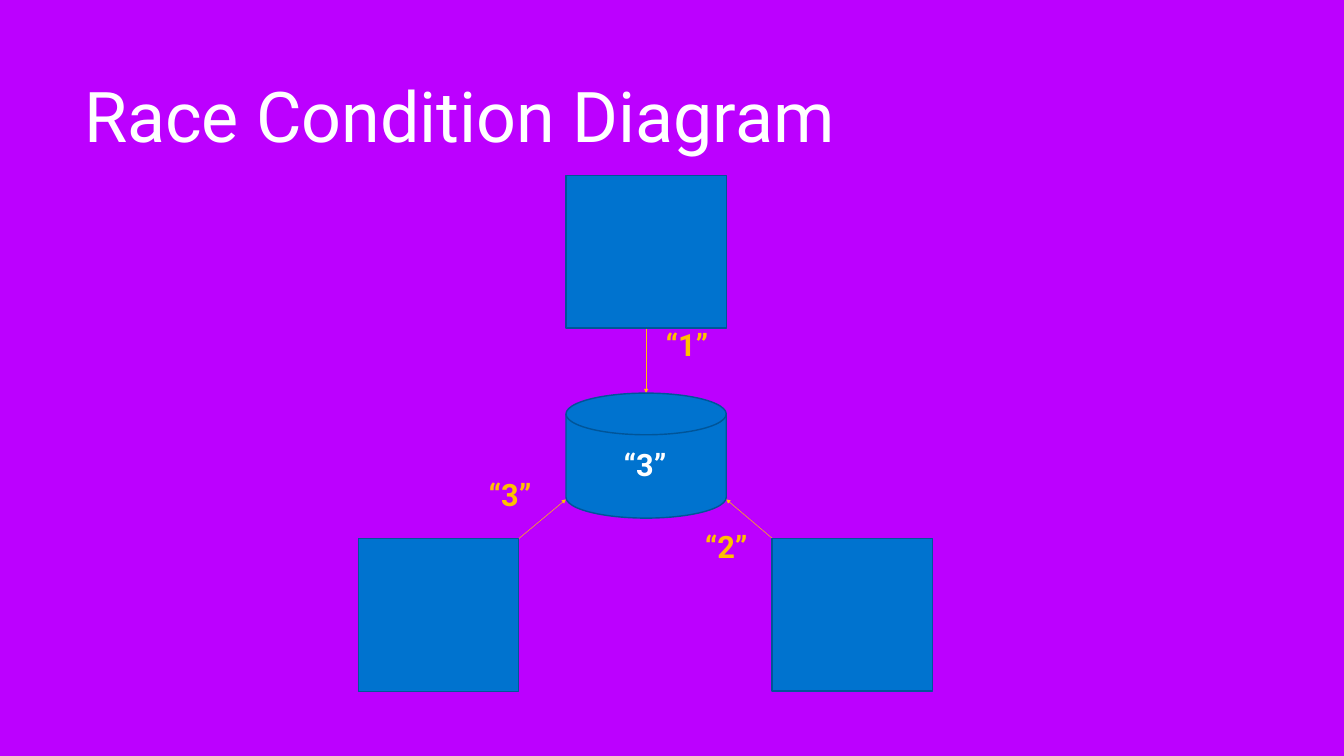
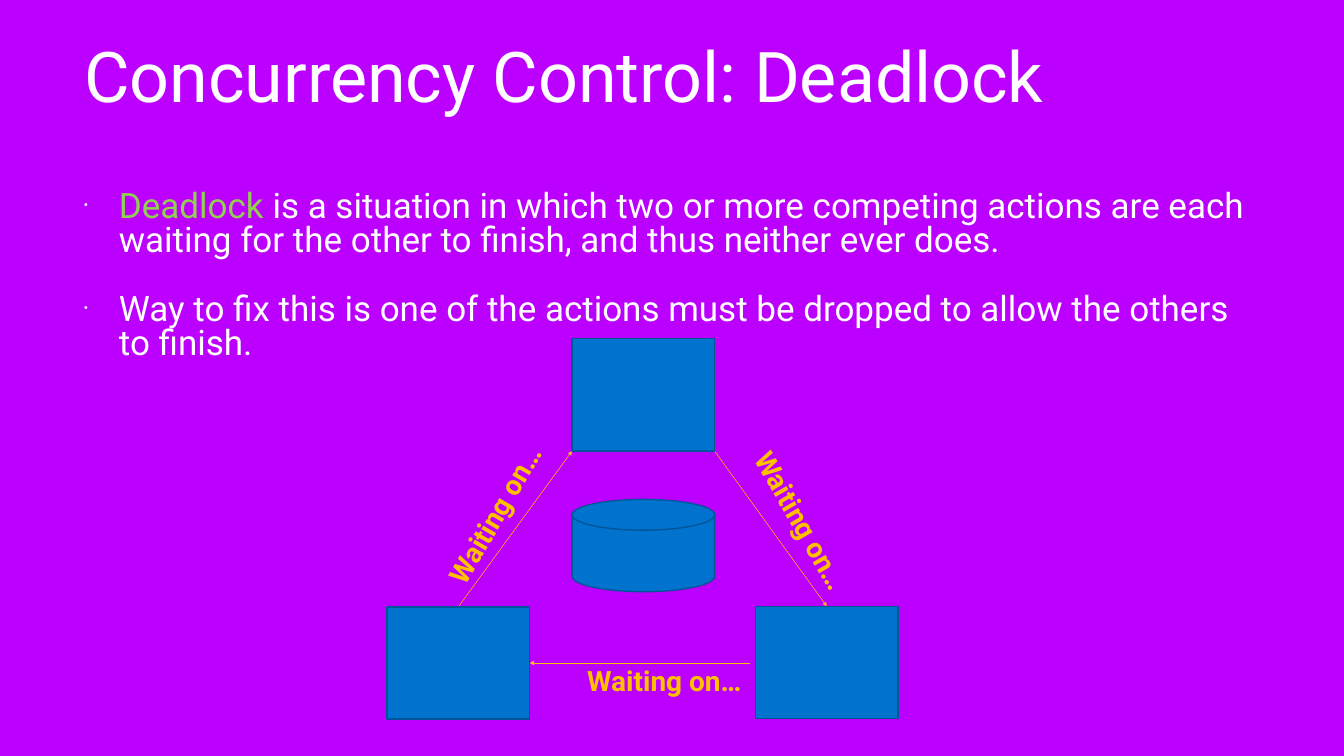
from dataclasses import dataclass

from lxml.etree import SubElement
from pptx import Presentation
from pptx.dml.color import RGBColor as Rgb
from pptx.enum.shapes import MSO_CONNECTOR as Link, MSO_SHAPE as Form
from pptx.enum.text import MSO_ANCHOR as Anchor, PP_ALIGN as Align
from pptx.oxml.ns import qn
from pptx.slide import Slide
from pptx.util import Inches, Pt

COLS, ROWS = 80, 45
WIDE, HIGH = Inches(26.67), Inches(15)


@dataclass(frozen=True)
class Theme:
    """Colours, font and type sizes of the deck."""
    back: str = "BC00FF"
    white: str = "FFFFFF"
    gold: str = "FFC000"
    green: str = "92D050"
    fill: str = "0073CF"
    edge: str = "005599"
    font: str = "Roboto"
    title: float = 100
    body: float = 50
    value: float = 44
    wait: float = 40
    gap: float = 51
    edge_pt: float = 2
    arrow_pt: float = 0.75


@dataclass(frozen=True)
class Box:
    """A frame in grid columns and rows."""
    x: float
    y: float
    w: float
    h: float

    def at(self, across: float, down: float) -> "Spot":
        """Return the point at these shares of the frame."""
        return Spot(self.x + self.w * across, self.y + self.h * down)

    def frame(self) -> tuple[int, int, int, int]:
        """Return left, top, width and height in slide units."""
        return col(self.x), row(self.y), col(self.w), row(self.h)


@dataclass(frozen=True)
class Spot:
    """A point in grid columns and rows."""
    x: float
    y: float


@dataclass(frozen=True)
class Arrow:
    """An arrow between two points."""
    start: Spot
    end: Spot


@dataclass(frozen=True)
class Label:
    """A short bold caption."""
    text: str
    box: Box
    size: float
    color: str
    turn: float = 0


THEME = Theme()
Run = tuple[str, str]


def col(count: float) -> int:
    """Turn columns into slide units."""
    return round(WIDE * count / COLS)


def row(count: float) -> int:
    """Turn rows into slide units."""
    return round(HIGH * count / ROWS)


def write(slide: Slide, paras: list[list[Run]], box: Box, *, size: float,
          bold: bool = False, align: Align = Align.LEFT,
          anchor: Anchor = Anchor.TOP, inset: float | None = None,
          turn: float = 0, dots: bool = False) -> None:
    """Write paragraphs of coloured runs in a text box."""
    shape = slide.shapes.add_textbox(*box.frame())
    shape.rotation = turn
    frame = shape.text_frame
    frame.word_wrap = True
    frame.vertical_anchor = anchor
    if inset is not None:
        frame.margin_left = frame.margin_right = Inches(inset)
        frame.margin_top = frame.margin_bottom = Inches(inset)
    for index, runs in enumerate(paras):
        para = frame.add_paragraph() if index else frame.paragraphs[0]
        para.alignment = align
        if dots:
            para.line_spacing = 0.8
            para.space_before = Pt(THEME.gap if index else 0)
            bullet(para)
        for text, color in runs:
            run = para.add_run()
            run.text = text
            run.font.name = THEME.font
            run.font.size = Pt(size)
            run.font.bold = bold
            run.font.color.rgb = Rgb.from_string(color)


def bullet(para) -> None:
    """Give a paragraph a small hanging bullet."""
    props = para._p.get_or_add_pPr()
    props.set("marL", str(Inches(0.69)))
    props.set("indent", str(-Inches(0.69)))
    tint = SubElement(props, qn("a:buClr"))
    SubElement(tint, qn("a:srgbClr"), val=THEME.white)
    SubElement(props, qn("a:buSzPct"), val="30000")
    SubElement(props, qn("a:buFont"), typeface="Arial")
    SubElement(props, qn("a:buChar"), char="•")


def block(slide: Slide, form: Form, box: Box) -> None:
    """Draw one filled shape."""
    shape = slide.shapes.add_shape(form, *box.frame())
    shape.shadow.inherit = False
    shape.fill.solid()
    shape.fill.fore_color.rgb = Rgb.from_string(THEME.fill)
    shape.line.color.rgb = Rgb.from_string(THEME.edge)
    shape.line.width = Pt(THEME.edge_pt)


def point(slide: Slide, arrow: Arrow) -> None:
    """Draw one arrow."""
    start, end = arrow.start, arrow.end
    link = slide.shapes.add_connector(
        Link.STRAIGHT, col(start.x), row(start.y), col(end.x), row(end.y))
    link.line.color.rgb = Rgb.from_string(THEME.gold)
    link.line.width = Pt(THEME.arrow_pt)
    SubElement(link.line._get_or_add_ln(), qn("a:tailEnd"), type="triangle")
    SubElement(link._element.spPr, qn("a:effectLst"))


def chart(slide: Slide, nodes: list[Box], disk: Box, arrows: list[Arrow],
          labels: list[Label]) -> None:
    """Draw arrows, then nodes and store, then labels."""
    for arrow in arrows:
        point(slide, arrow)
    for node in nodes:
        block(slide, Form.RECTANGLE, node)
    block(slide, Form.FLOWCHART_MAGNETIC_DISK, disk)
    for label in labels:
        write(slide, [[(label.text, label.color)]], label.box, size=label.size,
              bold=True, align=Align.CENTER, turn=label.turn)


def start(deck, title: str, rows: float) -> Slide:
    """Add a slide with its backdrop and title."""
    slide = deck.slides.add_slide(deck.slide_layouts[6])
    slide.background.fill.solid()
    slide.background.fill.fore_color.rgb = Rgb.from_string(THEME.back)
    write(slide, [[(title, THEME.white)]], Box(4.83, 1.17, 70.32, rows),
          size=THEME.title, anchor=Anchor.MIDDLE, inset=0.06)
    return slide


def race(deck) -> None:
    """Build the race condition slide."""
    slide = start(deck, "Race Condition Diagram", 11.25)
    wide, high = 9.54, 9.09
    top = Box(33.69, 10.44, wide, high)
    right = Box(45.96, 32.04, wide, high)
    left = Box(21.33, 32.07, wide, high)
    disk = Box(top.x, 23.4, wide, 7.44)
    arrows = [
        Arrow(top.at(0.5, 1), disk.at(0.5, 0)),
        Arrow(right.at(0, 0), disk.at(1, 0.85)),
        Arrow(left.at(1, 0), disk.at(0, 0.85)),
    ]
    marks = [("“3”", 35.85, 26.37, THEME.white), ("“3”", 27.81, 28.14, THEME.gold),
             ("“2”", 40.68, 31.29, THEME.gold), ("“1”", 38.34, 19.26, THEME.gold)]
    labels = [Label(text, Box(x, y, 5.1, 2.52), THEME.value, color)
              for text, x, y, color in marks]
    chart(slide, [top, right, left], disk, arrows, labels)


def lock(deck) -> None:
    """Build the deadlock slide."""
    slide = start(deck, "Concurrency Control: Deadlock", 6.57)
    paras = [
        [("Deadlock", THEME.green),
         (" is a situation in which two or more competing actions are each "
          "waiting for the other to finish, and thus neither ever does.", THEME.white)],
        [("Way to fix this is one of the actions must be dropped to allow "
          "the others to finish.", THEME.white)],
    ]
    write(slide, paras, Box(4.83, 11.25, 70.32, 11.46), size=THEME.body,
          inset=0.06, dots=True)
    wide, high = 8.49, 6.69
    top = Box(34.05, 20.16, wide, high)
    right = Box(44.97, 36.09, wide, high)
    left = Box(23.04, 36.12, wide, high)
    disk = Box(top.x, 29.73, wide, 5.49)
    side = left.at(1, 0.5)
    arrows = [
        Arrow(top.at(1, 1), right.at(0.5, 0)),
        Arrow(Spot(right.x - 0.3, side.y), side),
        Arrow(left.at(0.5, 0), top.at(0, 1)),
    ]
    turns = [(41.79, 29.82, 11.82, 60), (32.07, 39.33, 14.94, 0),
             (23.52, 29.46, 11.82, 300.3)]
    labels = [Label("Waiting on…", Box(x, y, w, 2.31), THEME.wait, THEME.gold, turn)
              for x, y, w, turn in turns]
    chart(slide, [top, right, left], disk, arrows, labels)


def main() -> None:
    """Build and save the deck."""
    deck = Presentation()
    deck.slide_width, deck.slide_height = WIDE, HIGH
    race(deck)
    lock(deck)
    deck.save("out.pptx")


if __name__ == "__main__":
    main()
